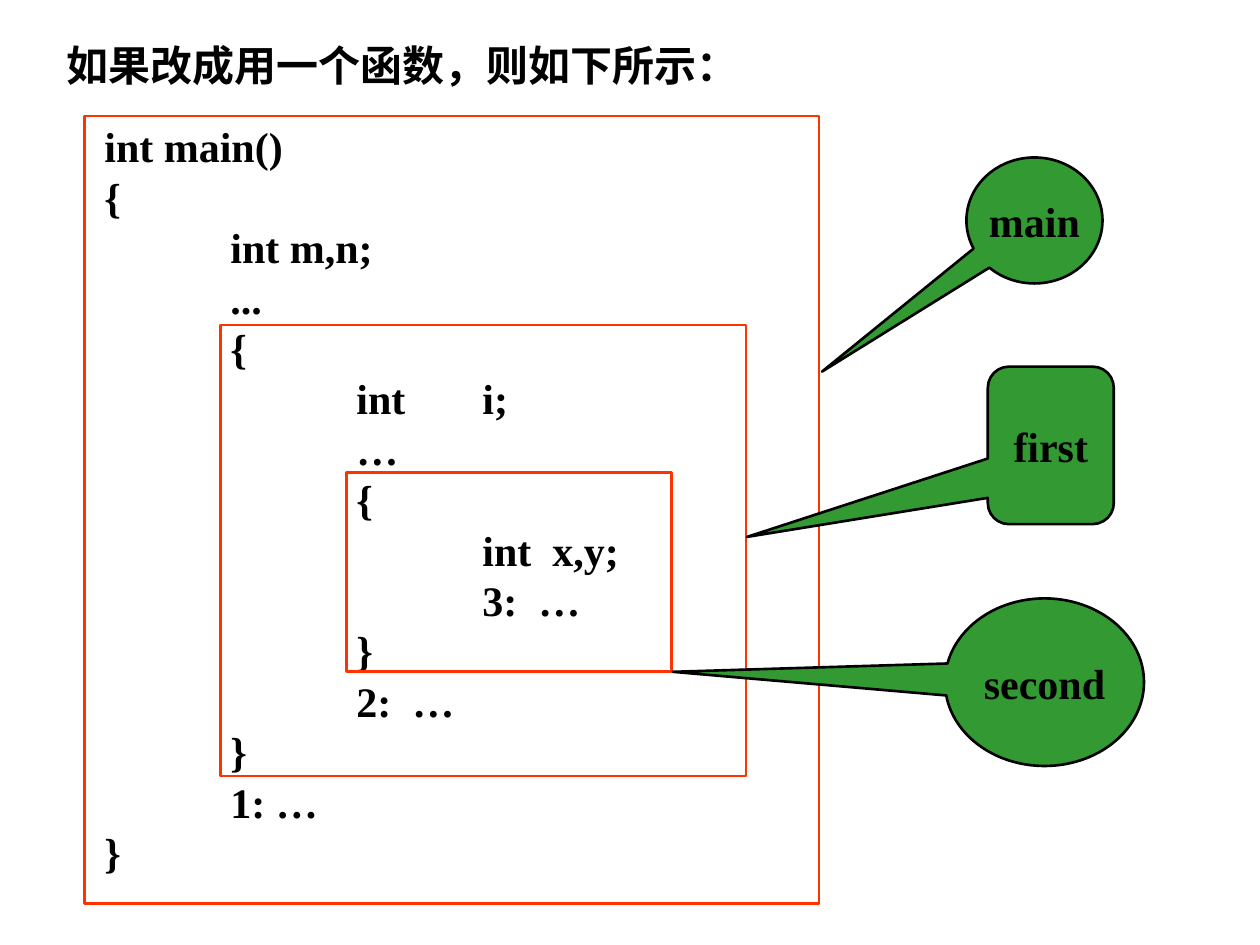
from lxml import etree
from pptx import Presentation
from pptx import util as u
from pptx.dml.color import RGBColor
from pptx.enum import shapes, text
from pptx.oxml.ns import qn

BLACK, GREEN, RED = "000000", "339933", "FF3300"
FONT = {"name": "Times New Roman", "size": u.Pt(24), "bold": True}
FRAME = {
    "margin_left": u.Inches(0.1), "margin_right": u.Inches(0.1),
    "margin_top": u.Inches(0.05), "margin_bottom": u.Inches(0.05),
}
TITLE = "如果改成用一个函数，则如下所示："
CODE = """int main()
{
\tint m,n;
\t...
\t{
\t\tint \ti;
\t\t…
\t\t{
\t\t\tint  x,y;
\t\t\t3:  …
\t\t}
\t\t2:  …
\t}
\t1: …
}"""

# left, top, width, height of each block's outline, innermost first
SCOPES = [
    (2.75, 3.75, 2.58, 1.58),
    (1.75, 2.58, 4.17, 3.58),
    (0.67, 0.92, 5.83, 6.25),
]
ROUND = shapes.MSO_SHAPE.ROUNDED_RECTANGULAR_CALLOUT
OVAL = shapes.MSO_SHAPE.OVAL_CALLOUT
CALLOUTS = [
    ("first", ROUND, (7.84, 2.91, 1, 1.25), (-2.411, 0.581, 0.167)),
    ("main", OVAL, (7.67, 1.25, 1.08, 1), (-1.562, 1.2)),
    ("second", OVAL, (7.5, 4.75, 1.58, 1.33), (-1.868, -0.062)),
]


def color(value):
    return RGBColor.from_string(value)


def inches(place):
    return [u.Inches(length) for length in place]


def apply(target, values):
    for name, value in values.items():
        setattr(target, name, value)


def add_tabs(para):
    """Put a left tab stop at every inch."""
    stops = etree.SubElement(para._p.get_or_add_pPr(), qn("a:tabLst"))
    for inch in range(1, 8):
        etree.SubElement(stops, qn("a:tab"), pos=str(u.Inches(inch)), algn="l")


def write(frame, content, align, frame_format, tabs=False, spacing=None):
    """Fill a text frame with one paragraph for each line of content."""
    apply(frame, {**FRAME, **frame_format})
    for index, line in enumerate(content.split("\n")):
        para = frame.add_paragraph() if index else frame.paragraphs[0]
        if tabs:
            add_tabs(para)
        apply(para, {"alignment": align, "line_spacing": spacing})
        span = para.add_run()
        span.text = line
        apply(span.font, FONT)
        span.font.color.rgb = color(BLACK)


def add_title(page):
    title = page.shapes.title
    apply(title, dict(zip(("left", "top", "width", "height"),
                          inches((0.43, 0.26, 8.17, 0.5)))))
    write(title.text_frame, TITLE, text.PP_ALIGN.LEFT, {
        "word_wrap": True,
        "vertical_anchor": text.MSO_ANCHOR.TOP,
        "auto_size": text.MSO_AUTO_SIZE.SHAPE_TO_FIT_TEXT,
    })


def add_code(page):
    box = page.shapes.add_textbox(*inches((0.73, 0.91, 8.08, 6.1)))
    write(box.text_frame, CODE, text.PP_ALIGN.LEFT, {
        "word_wrap": True,
        "auto_size": text.MSO_AUTO_SIZE.SHAPE_TO_FIT_TEXT,
    }, tabs=True, spacing=u.Pt(28.8))


def add_outlined(page, kind, place, line, fill=None):
    shape = page.shapes.add_shape(kind, *inches(place))
    shape.shadow.inherit = False
    if fill:
        shape.fill.solid()
        shape.fill.fore_color.rgb = color(fill)
    else:
        shape.fill.background()
    shape.line.color.rgb = color(line)
    shape.line.width = u.Pt(1.5)
    return shape


def add_callout(page, label, kind, place, adjustments):
    callout = add_outlined(page, kind, place, BLACK, GREEN)
    for index, value in enumerate(adjustments):
        callout.adjustments[index] = value
    write(callout.text_frame, label, text.PP_ALIGN.CENTER, {
        "word_wrap": False,
        "vertical_anchor": text.MSO_ANCHOR.MIDDLE,
    })


def main():
    deck = Presentation()
    apply(deck, {"slide_width": u.Inches(10), "slide_height": u.Inches(7.5)})
    page = deck.slides.add_slide(deck.slide_layouts.get_by_name("Title Only"))
    add_title(page)
    add_code(page)
    for place in SCOPES:
        add_outlined(page, shapes.MSO_SHAPE.RECTANGLE, place, RED)
    for callout in CALLOUTS:
        add_callout(page, *callout)
    deck.save("out.pptx")


if __name__ == "__main__":
    main()
